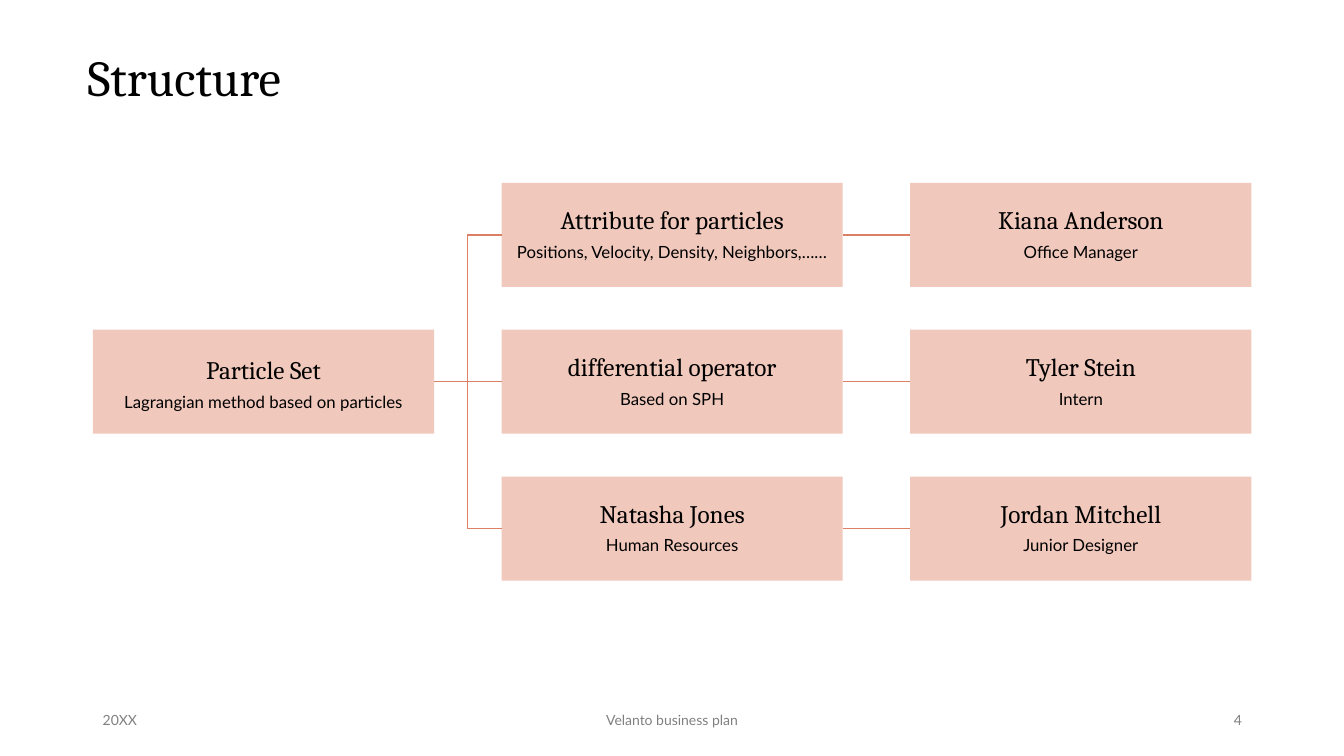
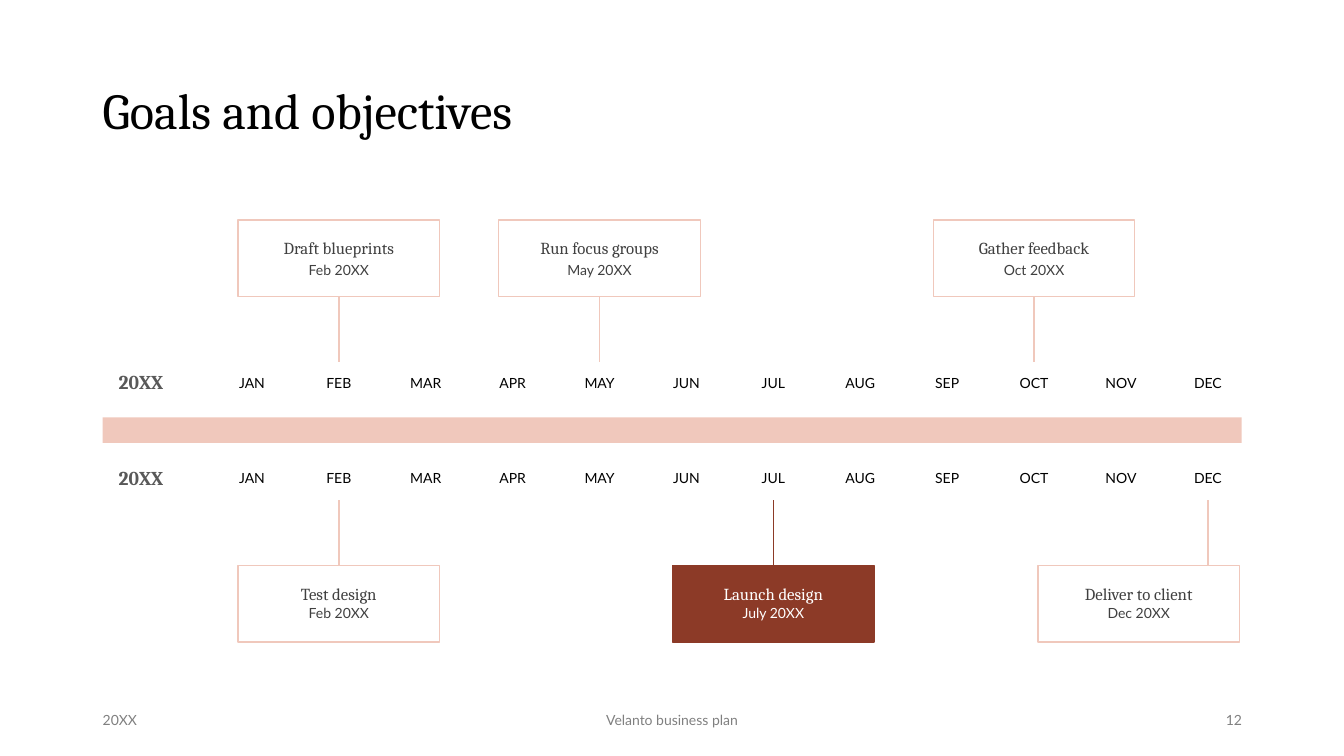
from dataclasses import dataclass

from lxml import etree
from pptx import Presentation
from pptx.dml.color import RGBColor
from pptx.enum import shapes, text
from pptx.oxml import ns
from pptx.util import Cm, Pt


@dataclass(frozen=True)
class Theme:
    serif: str = "Cambria"
    sans: str = "Lato"
    ink: str = "000000"
    dark: str = "404040"
    year: str = "595959"
    grey: str = "808080"
    white: str = "FFFFFF"
    blush: str = "F0C8BC"
    coral: str = "DC8065"
    rust: str = "8C3A27"
    title: int = 36
    head: int = 18
    label: int = 14
    body: int = 12
    small: int = 10


T = Theme()
LEFT, MID, RIGHT = text.PP_ALIGN.LEFT, text.PP_ALIGN.CENTER, text.PP_ALIGN.RIGHT


def box(slide, x, y, w, h, fill=None, line=None, pad=(0.25, 0.13), top=False):
    """Add a rectangle, or a text box when it has neither fill nor line."""
    area = Cm(x), Cm(y), Cm(w), Cm(h)
    if fill or line:
        item = slide.shapes.add_shape(shapes.MSO_SHAPE.RECTANGLE, *area)
        item.shadow.inherit = False
        for part, color in ((item.fill, fill), (item.line.fill, line)):
            if color:
                part.solid()
                part.fore_color.rgb = RGBColor.from_string(color)
            else:
                part.background()
        if line:
            item.line.width = Pt(1)
    else:
        item = slide.shapes.add_textbox(*area)
    frame = item.text_frame
    frame.word_wrap = True
    frame.margin_left = frame.margin_right = Cm(pad[0])
    frame.margin_top = Cm(pad[1])
    frame.margin_bottom = Cm(0.03)if top else Cm(0.13 if pad[1] == 0.13 else 0.03)
    frame.vertical_anchor = text.MSO_ANCHOR.TOP if top else text.MSO_ANCHOR.MIDDLE
    return item


def write(item, words, size=T.small, font=T.sans, color=T.ink, align=MID,
          bold=False, before=0, after=0):
    """Add one paragraph to a shape."""
    frame = item.text_frame
    para = frame.add_paragraph() if frame.text else frame.paragraphs[0]
    para.text = words
    para.alignment = align
    para.line_spacing = 0.9
    para.space_before, para.space_after = Pt(before), Pt(after)
    para.font.size, para.font.name, para.font.bold = Pt(size), font, bold
    para.font.color.rgb = RGBColor.from_string(color)


deck = Presentation()
deck.slide_width, deck.slide_height = Cm(33.87), Cm(19.05)

# Titles and footers
pages = []
for title, x, y, number in (("Structure", 1.96, 1.12, "4"),
                            ("Goals and objectives", 2.34, 1.96, "12")):
    page = deck.slides.add_slide(deck.slide_layouts[6])
    write(box(page, x, y, 29.21, 1.78), title, size=T.title, font=T.serif, align=LEFT)
    for words, left, wide, align in (("20XX", 2.34, 7.62, LEFT),
                                     ("Velanto business plan", 11.22, 11.43, MID),
                                     (number, 23.93, 7.62, RIGHT)):
        write(box(page, left, 17.65, wide, 1.02), words, color=T.grey, align=align)
    pages.append(page)
chart, plan = pages
links = []

# Structure: three columns, three rows
nodes = {}
for col, row, name, role in (
        (0, 1, "Particle Set", "Lagrangian method based on particles"),
        (1, 0, "Attribute for particles", "Positions, Velocity, Density, Neighbors,……"),
        (1, 1, "differential operator", "Based on SPH"),
        (1, 2, "Natasha Jones", "Human Resources"),
        (2, 0, "Kiana Anderson", "Office Manager"),
        (2, 1, "Tyler Stein", "Intern"),
        (2, 2, "Jordan Mitchell", "Junior Designer")):
    node = box(chart, 2.34 + 10.3 * col, 4.61 + 3.7 * row, 8.6, 2.62, fill=T.blush,
               pad=(0.03, 0.03 if col else 0.18))
    write(node, name, size=T.head, font=T.serif, after=6)
    write(node, role, size=T.body, after=4)
    nodes[col, row] = node

for row in range(3):
    for start, end in (((0, 1), (1, row)), ((1, row), (2, row))):
        bent = start[1] != end[1]
        kind = shapes.MSO_CONNECTOR.ELBOW if bent else shapes.MSO_CONNECTOR.STRAIGHT
        link = chart.shapes.add_connector(kind, 0, 0, 0, 0)
        link.begin_connect(nodes[start], 3)
        link.end_connect(nodes[end], 1)
        links.append((link, T.coral))

# Goals: two rows of months around a bar
months = "JAN FEB MAR APR MAY JUN JUL AUG SEP OCT NOV DEC".split()
first, step = 6.35, 2.19
box(plan, 2.59, 10.52, 28.7, 0.64, fill=T.blush)
for y in (9.35, 11.76):
    write(box(plan, 2.54, y - 0.32, 2.03, 1.27), "20XX", size=T.label, font=T.serif,
          color=T.year, bold=True)
    for i, month in enumerate(months):
        write(box(plan, first + step * i - 0.89, y, 1.78, 0.56, top=True), month)

wide, tall, stem = 5.08, 1.93, 1.65
for goal, date, month, upper in (
        ("Draft blueprints", "Feb 20XX", "FEB", True),
        ("Run focus groups", "May 20XX", "MAY", True),
        ("Gather feedback", "Oct 20XX", "OCT", True),
        ("Test design", "Feb 20XX", "FEB", False),
        ("Launch design", "July 20XX", "JUL", False),
        ("Deliver to client", "Dec 20XX", "DEC", False)):
    x = first + step * months.index(month)
    left = min(x - wide / 2, 31.24 - wide)
    y = 5.54 if upper else 14.25
    launch = month == "JUL"
    color = T.white if launch else T.dark
    edge = T.rust if launch else T.blush
    card = box(plan, left, y, wide, tall, fill=T.rust if launch else None, line=edge,
               pad=(0, 0.51), top=True)
    write(card, goal, size=T.body, font=T.serif, color=color)
    write(card, date, color=color, before=4 if upper else 2)
    near, far = (y + tall, y + tall + stem) if upper else (y, y - stem)
    link = plan.shapes.add_connector(shapes.MSO_CONNECTOR.STRAIGHT,
                                     Cm(x), Cm(near), Cm(x), Cm(far))
    if month != "DEC":
        link.begin_connect(card, 2 if upper else 0)
    links.append((link, edge))

for link, color in links:
    link.line.width = Pt(1)
    link.line.color.rgb = RGBColor.from_string(color)
    etree.SubElement(link._element.spPr, ns.qn("a:effectLst"))

deck.save("out.pptx")
